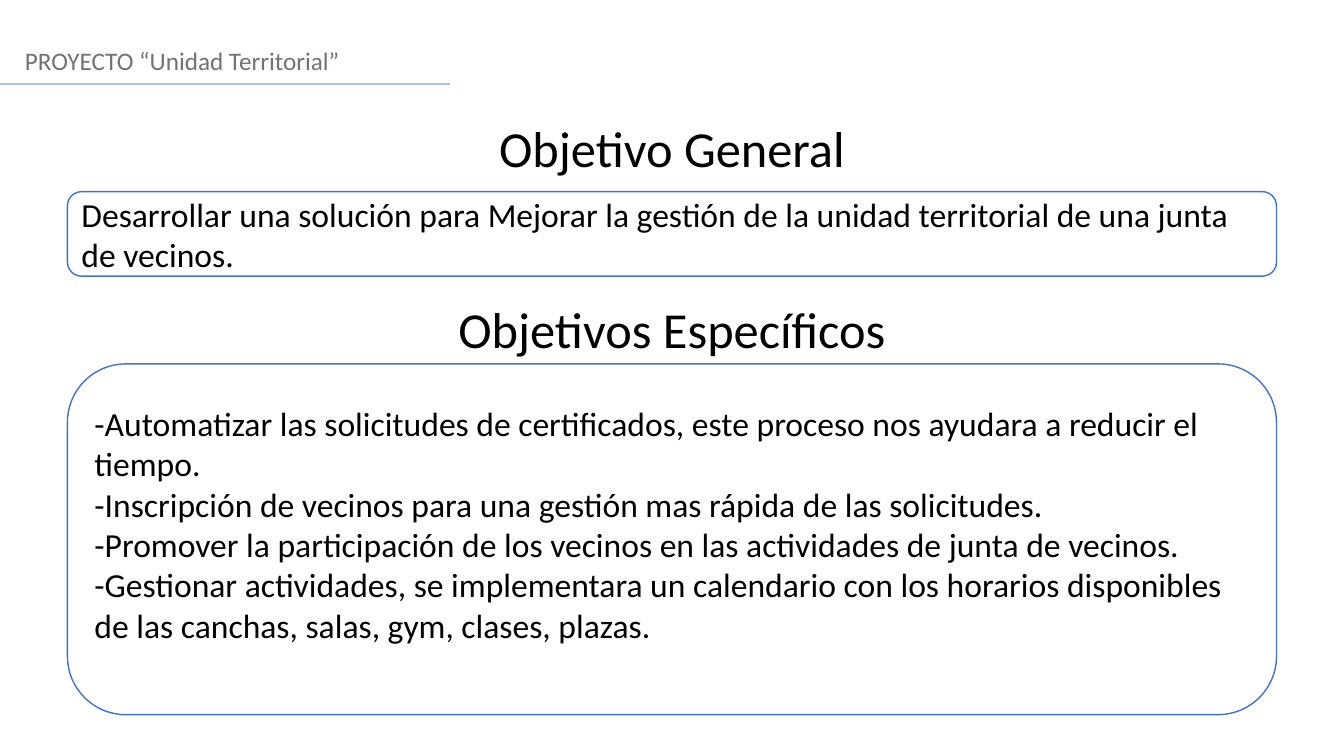
from dataclasses import dataclass

from lxml.etree import SubElement
from pptx import Presentation
from pptx.dml.color import RGBColor
from pptx.enum.shapes import MSO_CONNECTOR, MSO_SHAPE
from pptx.enum.text import MSO_ANCHOR, PP_ALIGN
from pptx.oxml.ns import qn
from pptx.util import Cm, Pt


@dataclass(frozen=True)
class Theme:
    font: str = "Calibri"
    ink: RGBColor = RGBColor(0x00, 0x00, 0x00)
    muted: RGBColor = RGBColor(0x76, 0x71, 0x71)
    paper: RGBColor = RGBColor(0xFF, 0xFF, 0xFF)
    outline: RGBColor = RGBColor(0x44, 0x72, 0xC4)
    rule: RGBColor = RGBColor(0xAB, 0xC0, 0xE4)
    project_size: int = 18
    heading_size: int = 36
    body_size: int = 24
    outline_width: float = 1
    rule_width: float = 1.25


THEME = Theme()
SLIDE_WIDTH, SLIDE_HEIGHT = 33.87, 19.05
MARGIN = 1.7
HEADING_HEIGHT = 1.8

GENERAL = [
    "Desarrollar una solución para Mejorar la gestión de la unidad territorial de una junta de vecinos.",
]
SPECIFIC = [
    "-Automatizar las solicitudes de certificados, este proceso nos ayudara a reducir el tiempo.",
    "-Inscripción de vecinos para una gestión mas rápida de las solicitudes.",
    "-Promover la participación de los vecinos en las actividades de junta de vecinos.",
    "-Gestionar actividades, se implementara un calendario con los horarios disponibles "
    "de las canchas, salas, gym, clases, plazas.",
]


def write(frame, lines, size, color, align=PP_ALIGN.LEFT):
    frame.word_wrap = True
    for index, line in enumerate(lines):
        paragraph = frame.add_paragraph() if index else frame.paragraphs[0]
        paragraph.alignment = align
        run = paragraph.add_run()
        run.text = line
        run.font.name = THEME.font
        run.font.size = Pt(size)
        run.font.color.rgb = color


def add_label(slide, left, top, width, height, text, size, color, align):
    label = slide.shapes.add_textbox(Cm(left), Cm(top), Cm(width), Cm(height))
    write(label.text_frame, [text], size, color, align)


def add_project_header(slide, left, top, width, height):
    indent = 0.38
    rule_top = top + 1.09
    add_label(slide, left + indent, top, width - indent, height,
              "PROYECTO “Unidad Territorial”", THEME.project_size, THEME.muted, PP_ALIGN.LEFT)
    rule = slide.shapes.add_connector(
        MSO_CONNECTOR.STRAIGHT, Cm(left), Cm(rule_top), Cm(left + 11.35), Cm(rule_top))
    rule.line.color.rgb = THEME.rule
    rule.line.width = Pt(THEME.rule_width)
    SubElement(rule.element.spPr, qn("a:effectLst"))


def add_objective(slide, top, heading, panel_top, panel_height, lines, bottom_inset=0.13):
    add_label(slide, 0, top, SLIDE_WIDTH, HEADING_HEIGHT,
              heading, THEME.heading_size, THEME.ink, PP_ALIGN.CENTER)
    panel = slide.shapes.add_shape(
        MSO_SHAPE.ROUNDED_RECTANGLE, Cm(MARGIN), Cm(panel_top),
        Cm(SLIDE_WIDTH - 2 * MARGIN), Cm(panel_height))
    panel.shadow.inherit = False
    panel.fill.solid()
    panel.fill.fore_color.rgb = THEME.paper
    panel.line.color.rgb = THEME.outline
    panel.line.width = Pt(THEME.outline_width)
    frame = panel.text_frame
    frame.vertical_anchor = MSO_ANCHOR.MIDDLE
    frame.margin_bottom = Cm(bottom_inset)
    write(frame, lines, THEME.body_size, THEME.ink)


def main():
    presentation = Presentation()
    presentation.slide_width = Cm(SLIDE_WIDTH)
    presentation.slide_height = Cm(SLIDE_HEIGHT)
    slide = presentation.slides.add_slide(presentation.slide_layouts[6])
    add_project_header(slide, 0, 1.02, SLIDE_WIDTH, 1.02)
    add_objective(slide, 2.82, "Objetivo General", 4.83, 2.13, GENERAL)
    add_objective(slide, 7.39, "Objetivos Específicos", 9.17, 8.84, SPECIFIC, bottom_inset=0.9)
    presentation.save("out.pptx")


if __name__ == "__main__":
    main()
